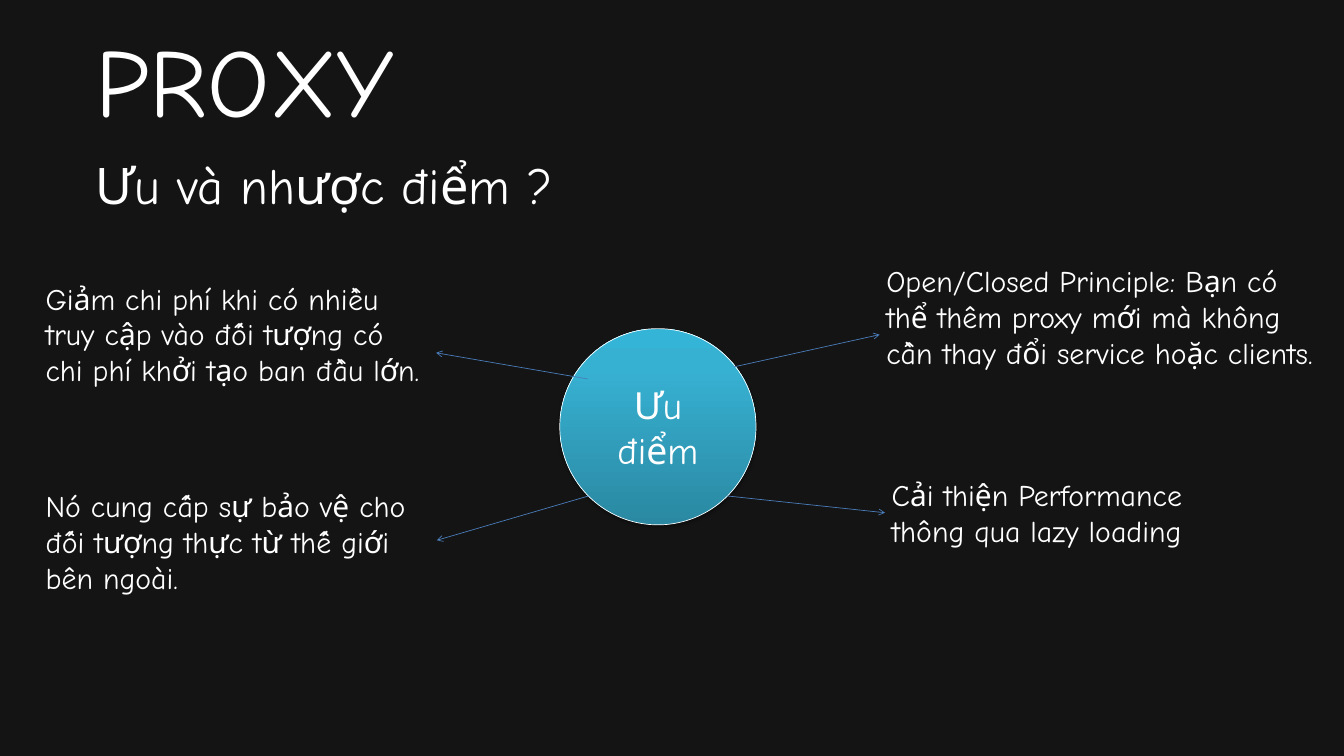
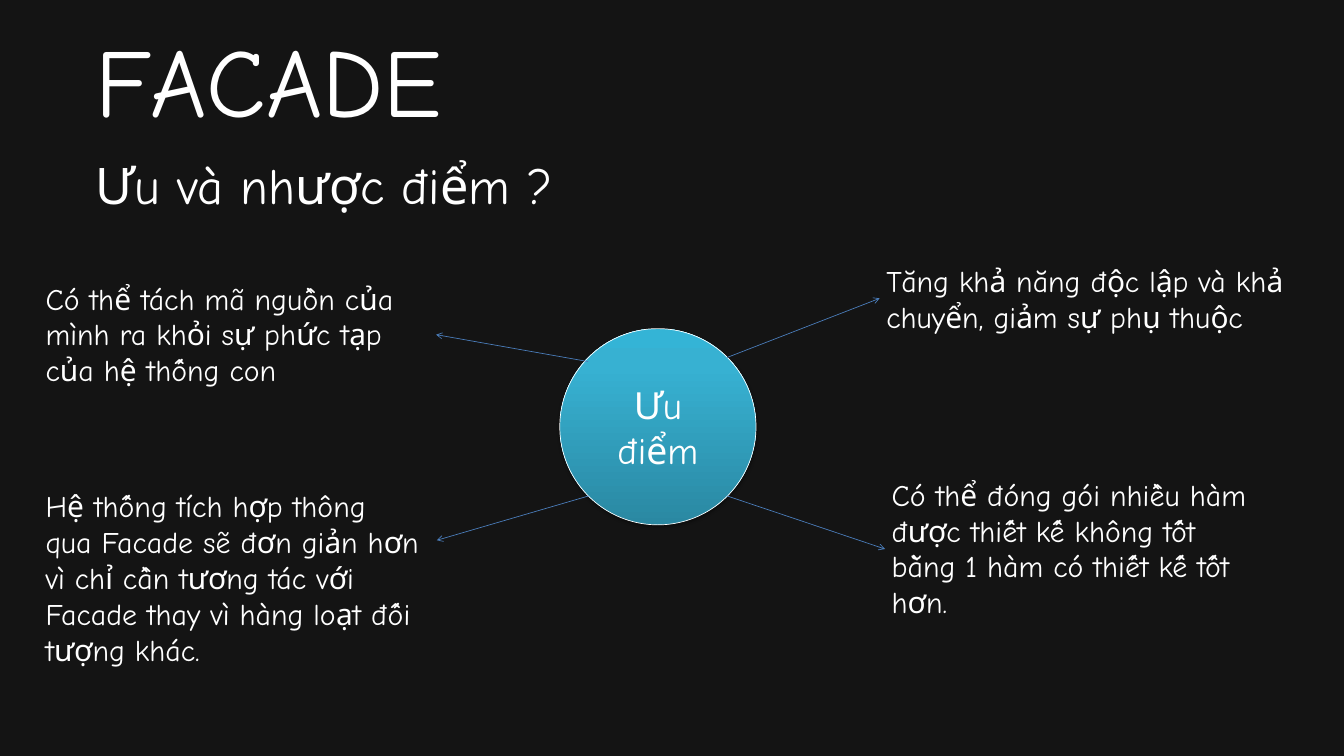
from lxml import etree
from pptx import Presentation
from pptx.dml.color import RGBColor
from pptx.enum.shapes import MSO_CONNECTOR as CONN, MSO_SHAPE as SHAPE
from pptx.enum.text import MSO_ANCHOR as ANCHOR, MSO_AUTO_SIZE as AUTO, PP_ALIGN as ALIGN
from pptx.oxml import parse_xml
from pptx.oxml.ns import nsdecls, qn
from pptx.util import Inches, Pt

FONT = "Comic Neue"
DARK, WHITE, ARROW = "141414", "FFFFFF", "4B7EBC"
BLUES = [(0, "2A88A2"), (80, "37B1D2"), (100, "34B4D6")]
SUBTITLE = "Ưu và nhược điểm ?"
HUB = "Ưu điểm"
HEADING = {"line_spacing": Pt(90)}
BARE = {f"margin_{side}": 0 for side in ("left", "top", "right", "bottom")}

NOTE_BOXES = {
    "top left": (0.58, 4.12, 5.91),
    "top right": (13.09, 3.86, 6.55),
    "bottom left": (0.58, 7.21, 5.76),
    "bottom right": (13.17, 7.04, 5.68),
}

SLIDES = [
    ("PROXY", {
        "top left": ("Giảm chi phí khi có nhiều truy cập vào đối tượng có chi phí khởi tạo ban đầu lớn.",
                     2.25, (8.75, 5.64), (6.49, 5.25)),
        "top right": ("Open/Closed Principle: Bạn có thể thêm proxy mới mà không cần thay đổi "
                      "service hoặc clients.", 2.25, (10.92, 5.46), (13.09, 4.98)),
        "bottom left": ("Nó cung cấp sự bảo vệ cho đối tượng thực từ thế giới bên ngoài.",
                        1.72, (8.76, 7.38), (6.5, 8.04)),
        "bottom right": ("Cải thiện Performance thông qua lazy loading",
                         1.18, (10.82, 7.38), (13.17, 7.63)),
    }),
    ("FACADE", {
        "top left": ("Có thể tách mã nguồn của mình ra khỏi sự phức tạp của hệ thống con",
                     1.72, (8.75, 5.38), (6.49, 4.98)),
        "top right": ("Tăng khả năng độc lập và khả chuyển, giảm sự phụ thuộc",
                      1.18, (10.82, 5.32), (13.09, 4.44)),
        "bottom left": ("Hệ thống tích hợp thông qua Facade sẽ đơn giản hơn vì chỉ cần tương tác "
                        "với Facade thay vì hàng loạt đối tượng khác.",
                        2.79, (8.76, 7.38), (6.5, 8.04)),
        "bottom right": ("Có thể đóng gói nhiều hàm được thiết kế không tốt bằng 1 hàm có thiết kế tốt hơn.",
                         2.25, (10.82, 7.38), (13.17, 8.17)),
    }),
]


def rgb(value):
    """Turn a hex string into a colour."""
    return RGBColor.from_string(value)


def assign(obj, formats):
    """Set each attribute named in a dict of format values."""
    for name, value in formats.items():
        setattr(obj, name, value)


def write(tf, text, size, frame=None, para=None):
    """Write one white paragraph into a text frame."""
    assign(tf, {"word_wrap": True, **(frame or {})})
    p = tf.paragraphs[0]
    assign(p, para or {})
    r = p.add_run()
    r.text = text
    assign(r.font, {"name": FONT, "size": Pt(size)})
    r.font.color.rgb = rgb(WHITE)


def add_text(slide, box, text, size, frame=None, para=None):
    """Add a text box that grows with its text."""
    sp = slide.shapes.add_textbox(*map(Inches, box))
    write(sp.text_frame, text, size, {"auto_size": AUTO.SHAPE_TO_FIT_TEXT, **(frame or {})}, para)


def add_hub(slide):
    """Add the shaded circle in the middle."""
    sp = slide.shapes.add_shape(SHAPE.OVAL, *map(Inches, (8.33, 4.89, 2.92, 2.92)))
    sp.fill.gradient()
    sp.fill.gradient_angle = 90
    stops = sp._element.spPr.find(f".//{qn('a:gsLst')}")
    stops[:] = [parse_xml(f'<a:gs {nsdecls("a")} pos="{pos * 1000}"><a:srgbClr val="{color}"/></a:gs>')
                for pos, color in BLUES]
    sp.line.color.rgb = rgb(WHITE)
    sp.line.width = Pt(0.75)
    sp.shadow.inherit = False
    sp._element.spPr.find(qn("a:effectLst")).append(parse_xml(
        f'<a:outerShdw {nsdecls("a")} blurRad="{Pt(3.1)}" dist="{Pt(1.8)}" dir="5400000" rotWithShape="0">'
        '<a:srgbClr val="000000"><a:alpha val="35000"/></a:srgbClr></a:outerShdw>'))
    write(sp.text_frame, HUB, 40, {"vertical_anchor": ANCHOR.MIDDLE}, {"alignment": ALIGN.CENTER})


def add_arrow(slide, start, end):
    """Add a thin arrow between two points."""
    line = slide.shapes.add_connector(CONN.STRAIGHT, *map(Inches, start + end))
    line.line.color.rgb = rgb(ARROW)
    line.line.width = Pt(0.75)
    etree.SubElement(line.line._get_or_add_ln(), qn("a:tailEnd"), type="arrow")
    etree.SubElement(line._element.spPr, qn("a:effectLst"))


def add_slide(prs, title, notes):
    """Add a slide with headings, the hub and four notes around it."""
    slide = prs.slides.add_slide(prs.slide_layouts[6])
    slide.background.fill.solid()
    slide.background.fill.fore_color.rgb = rgb(DARK)
    for text, top, size in ((title, 0.79, 104), (SUBTITLE, 1.95, 54)):
        add_text(slide, (1.42, top, 16.99, 1.26), text, size, BARE, HEADING)
    add_hub(slide)
    for place, (text, height, start, end) in notes.items():
        add_arrow(slide, start, end)
        add_text(slide, (*NOTE_BOXES[place], height), text, 32)


def main():
    """Build and save the presentation."""
    prs = Presentation()
    assign(prs, {"slide_width": Inches(20), "slide_height": Inches(11.25)})
    for title, notes in SLIDES:
        add_slide(prs, title, notes)
    prs.save("out.pptx")


if __name__ == "__main__":
    main()
